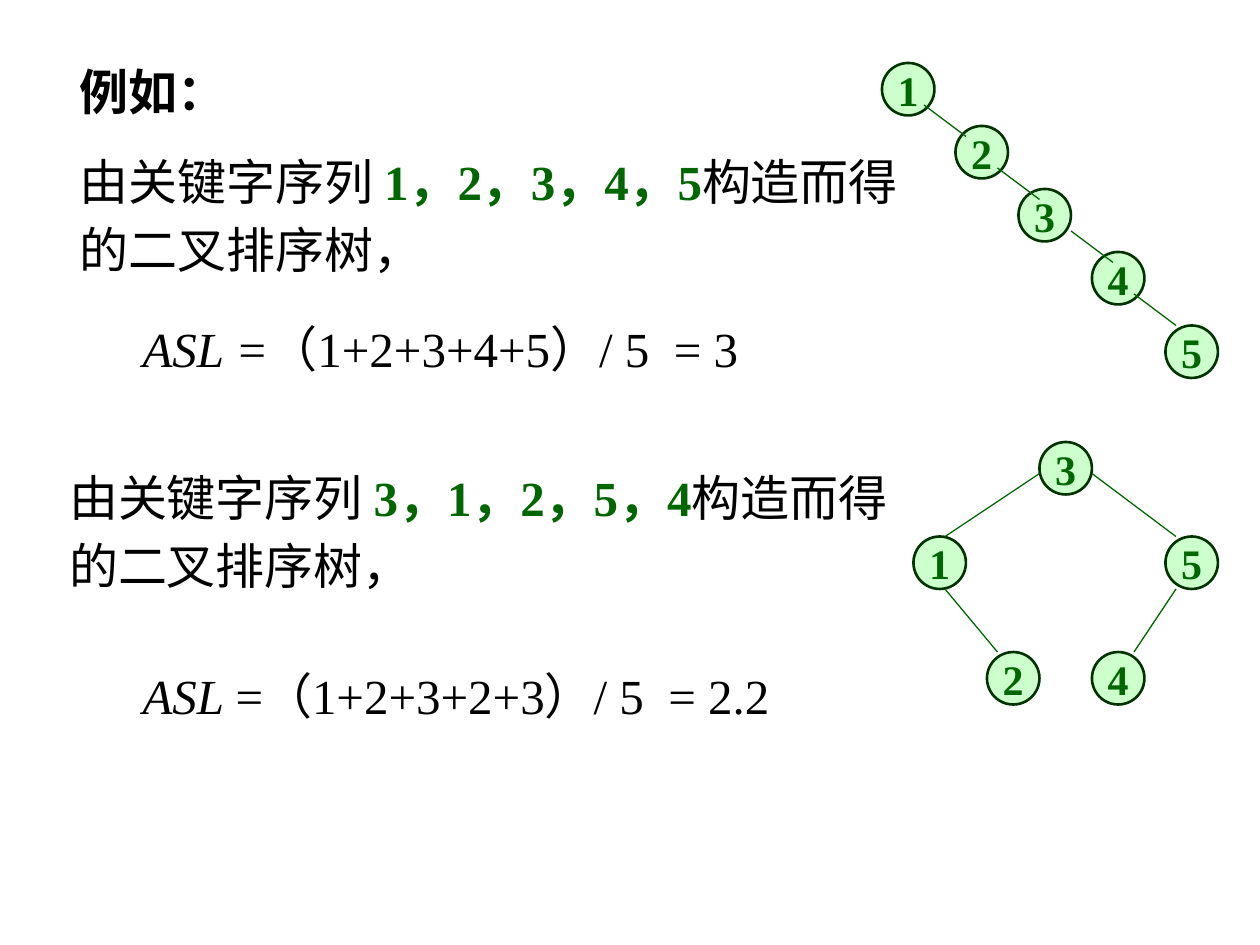
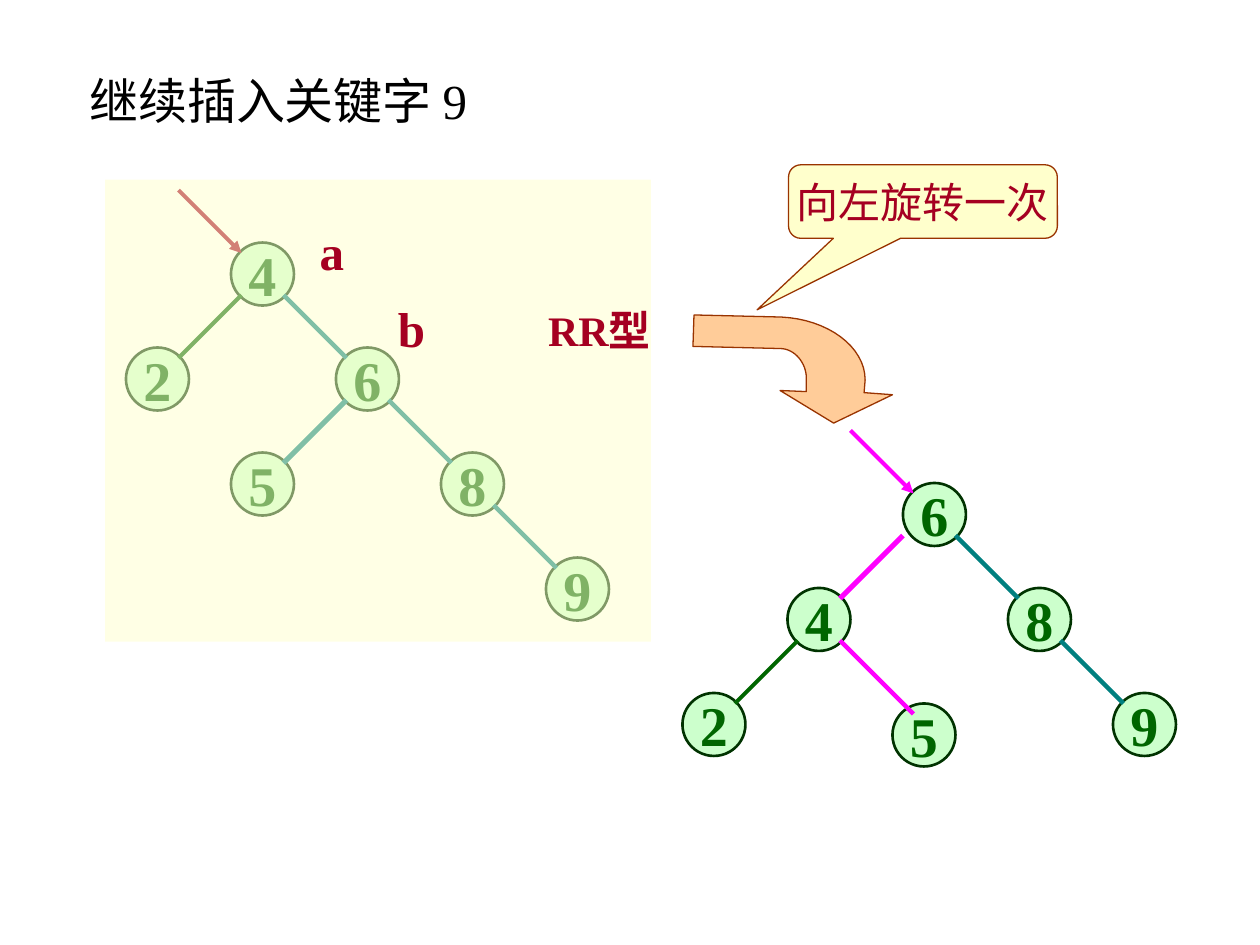
from lxml.etree import SubElement
from pptx import Presentation
from pptx.dml.color import RGBColor
from pptx.enum.shapes import MSO_CONNECTOR, MSO_SHAPE
from pptx.enum.text import MSO_ANCHOR, PP_ALIGN
from pptx.oxml.ns import qn
from pptx.util import Emu, Pt

PX = 7620  # 120 px to the inch
FONT = "Times New Roman"
BLACK = RGBColor(0x00, 0x00, 0x00)
GREEN = RGBColor(0x00, 0x66, 0x00)
DARK_GREEN = RGBColor(0x00, 0x33, 0x00)
PALE_GREEN = RGBColor(0xCC, 0xFF, 0xCC)
TEAL = RGBColor(0x00, 0x80, 0x80)
MAGENTA = RGBColor(0xFF, 0x00, 0xFF)
RED = RGBColor(0xA5, 0x00, 0x21)
BROWN = RGBColor(0x99, 0x33, 0x00)
ORANGE = RGBColor(0xFF, 0xCC, 0x99)
CREAM = RGBColor(0xFF, 0xFF, 0xCC)


def write(shape, spans, size=28, align=PP_ALIGN.LEFT, spacing=1.0,
          anchor=MSO_ANCHOR.TOP, wrap=True):
    """Fill a shape with one paragraph; each span is (text, colour, style)."""
    frame = shape.text_frame
    for name, value in {"word_wrap": wrap, "vertical_anchor": anchor}.items():
        setattr(frame, name, value)
    para = frame.paragraphs[0]
    para.alignment = align
    para.line_spacing = spacing
    for text, colour, style in spans:
        span = para.add_run()
        span.text = text
        span.font.color.rgb = colour
        font_format = {"name": FONT, "size": Pt(size),
                       "bold": style == "bold", "italic": style == "italic"}
        for name, value in font_format.items():
            setattr(span.font, name, value)


def draw_tree(page, nodes, diameter, size, edges):
    """Nodes are (key, left, top); edges are (x1, y1, x2, y2, colour, points, arrow)."""
    for key, left, top in nodes:
        node = page.shapes.add_shape(
            MSO_SHAPE.OVAL, left * PX, top * PX, diameter * PX, diameter * PX)
        node.shadow.inherit = False
        node.fill.solid()
        node.fill.fore_color.rgb = PALE_GREEN
        node.line.color.rgb = DARK_GREEN
        node.line.width = Pt(1.5)
        write(node, [(key, GREEN, "bold")], size, PP_ALIGN.CENTER,
              anchor=MSO_ANCHOR.MIDDLE, wrap=False)
    for x1, y1, x2, y2, colour, points, arrow in edges:
        edge = page.shapes.add_connector(
            MSO_CONNECTOR.STRAIGHT, x1 * PX, y1 * PX, x2 * PX, y2 * PX)
        edge.line.color.rgb = colour
        edge.line.width = Pt(points)
        if arrow:
            SubElement(edge.line._get_or_add_ln(), qn("a:tailEnd"), type="triangle")
        SubElement(edge._element.spPr, qn("a:effectLst"))


deck = Presentation()
deck.slide_width, deck.slide_height = Emu(1200 * PX), Emu(900 * PX)
pages = []
for heading, style, left, top, width in [
    ("例如：", "bold", 64, 53, 200),
    ("继续插入关键字 9", "", 73, 61, 527),
]:
    page = deck.slides.add_slide(deck.slide_layouts[5])
    title = page.shapes.title
    place = {"left": left, "top": top, "width": width, "height": 68}
    for name, value in place.items():
        setattr(title, name, Emu(value * PX))
    write(title, [(heading, BLACK, style)])
    pages.append(page)
search_page, rotation_page = pages

# Search trees and their average search lengths
for keys, left, top, width in [
    ("1，2，3，4，5", 64, 130, 810),
    ("3，1，2，5，4", 54, 431, 820),
]:
    box = search_page.shapes.add_textbox(left * PX, top * PX, width * PX, 140 * PX)
    write(box, [("由关键字序列 ", BLACK, ""), (keys, GREEN, "bold"),
                ("构造而得的二叉排序树，", BLACK, "")], spacing=1.15)

for name, formula, top, width in [
    ("ASL =", "（1+2+3+4+5）/ 5  = 3", 289, 674),
    ("ASL ", "=（1+2+3+2+3）/ 5  = 2.2", 620, 721),
]:
    box = search_page.shapes.add_textbox(124 * PX, top * PX, width * PX, 72 * PX)
    write(box, [(name, BLACK, "italic"), (formula, BLACK, "")], spacing=1.15)

chain_nodes = [("1", 840, 60), ("2", 910, 120), ("3", 970, 180),
               ("4", 1040, 240), ("5", 1110, 310)]
chain_starts = [(880, 100), (950, 160), (1020, 220), (1080, 280)]
draw_tree(search_page, chain_nodes, 50, 24,
          [(x, y, x + 40, y + 30, GREEN, 0.75, False) for x, y in chain_starts])

balanced_nodes = [("3", 990, 421), ("5", 1110, 511), ("4", 1040, 621),
                  ("1", 870, 511), ("2", 940, 621)]
balanced_edges = [(990, 451, 900, 511), (1040, 451, 1120, 511),
                  (900, 561, 950, 621), (1120, 561, 1080, 621)]
draw_tree(search_page, balanced_nodes, 50, 24,
          [(*ends, GREEN, 0.75, False) for ends in balanced_edges])

# Tree before the rotation, dimmed by a translucent veil
draw_tree(rotation_page,
          [("4", 220, 231), ("2", 120, 331), ("6", 320, 331),
           ("5", 220, 431), ("8", 420, 431), ("9", 520, 531)], 60, 32,
          [(230, 281, 170, 341, GREEN, 2.25, False),
           (270, 281, 330, 341, TEAL, 2.5, False),
           (170, 181, 230, 241, RED, 2.25, True),
           (330, 381, 270, 441, TEAL, 3, False),
           (370, 381, 430, 441, TEAL, 2.5, False),
           (470, 481, 530, 541, TEAL, 2.5, False)])
veil = rotation_page.shapes.add_shape(
    MSO_SHAPE.RECTANGLE, 100 * PX, 171 * PX, 520 * PX, 440 * PX)
veil.shadow.inherit = False
veil.fill.solid()
veil.fill.fore_color.rgb = CREAM
veil.line.fill.background()
veil_colour = veil._element.spPr.find(qn("a:solidFill")).find(qn("a:srgbClr"))
SubElement(veil_colour, qn("a:alpha"), val="50000")

# Tree after the rotation
draw_tree(rotation_page,
          [("6", 860, 460), ("4", 750, 560), ("2", 650, 660),
           ("8", 960, 560), ("9", 1060, 660), ("5", 850, 670)], 60, 32,
          [(760, 610, 700, 670, GREEN, 2.25, False),
           (860, 510, 800, 570, MAGENTA, 3, False),
           (910, 510, 970, 570, TEAL, 2.5, False),
           (1010, 610, 1070, 670, TEAL, 2.5, False),
           (810, 410, 870, 470, MAGENTA, 2.25, True),
           (800, 610, 870, 680, MAGENTA, 2.5, False)])

# Curved arrow: its two bends are cubic curves cut into short steps
outer_bend = [(824, 362), (824, 330), (788, 304), (744, 302)]
inner_bend = [(743, 332), (757, 332), (768, 346), (768, 360)]
bends = []
for bend in (outer_bend, inner_bend):
    steps = []
    for t in [step / 16 for step in range(17)]:
        weights = [(1 - t) ** 3, 3 * t * (1 - t) ** 2, 3 * t * t * (1 - t), t ** 3]
        steps.append(tuple(round(PX * sum(w * point[axis] for w, point in zip(weights, bend)))
                           for axis in (0, 1)))
    bends.append(steps)
outer_steps, inner_steps = bends
outline = rotation_page.shapes.build_freeform(794 * PX, 403 * PX)
outline.add_line_segments(
    [(850 * PX, 376 * PX), (823 * PX, 374 * PX), *outer_steps,
     (661 * PX, 300 * PX), (660 * PX, 330 * PX), *inner_steps,
     (768 * PX, 373 * PX), (743 * PX, 372 * PX)], close=True)
turn_arrow = outline.convert_to_shape()

callout = rotation_page.shapes.add_shape(
    MSO_SHAPE.ROUNDED_RECTANGULAR_CALLOUT, 751 * PX, 157 * PX, 256 * PX, 70 * PX)
for index, value in enumerate([-0.617, 1.473, 0.167]):
    callout.adjustments[index] = value
write(callout, [("向左旋转一次", RED, "")], 24, PP_ALIGN.CENTER,
      anchor=MSO_ANCHOR.MIDDLE, wrap=False)

for shape, colour in [(turn_arrow, ORANGE), (callout, CREAM)]:
    shape.shadow.inherit = False
    shape.fill.solid()
    shape.fill.fore_color.rgb = colour
    shape.line.color.rgb = BROWN
    shape.line.width = Pt(0.75)

for label, size, left, top, width in [
    ("RR型", 24, 505, 284, 132), ("a", 28, 278, 205, 76), ("b", 28, 354, 278, 76),
]:
    box = rotation_page.shapes.add_textbox(left * PX, top * PX, width * PX, 68 * PX)
    write(box, [(label, RED, "bold")], size, PP_ALIGN.CENTER)

deck.save("out.pptx")
